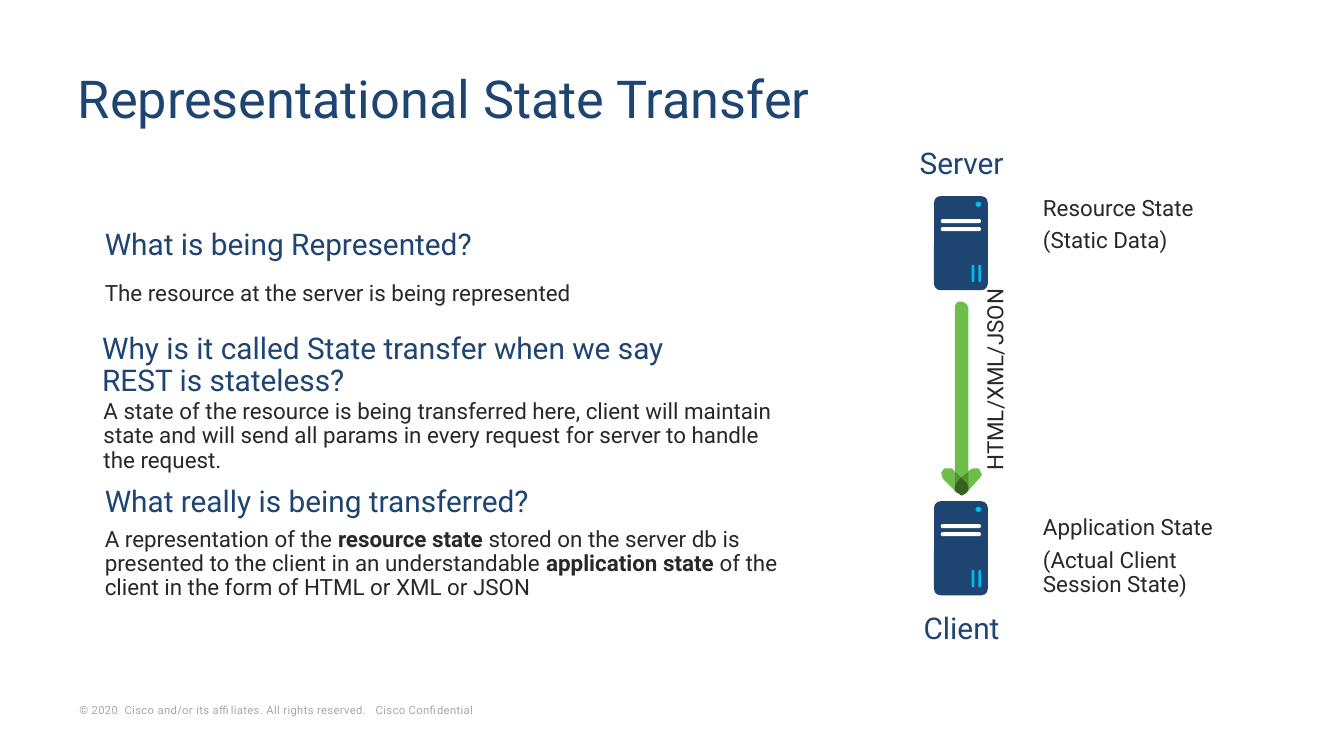
import pptx
import pptx.dml.color
import pptx.enum.shapes
import pptx.enum.text
import pptx.util

Inches = pptx.util.Inches
Pt = pptx.util.Pt
RGBColor = pptx.dml.color.RGBColor
Anchor = pptx.enum.text.MSO_ANCHOR
Align = pptx.enum.text.PP_ALIGN
Fit = pptx.enum.text.MSO_AUTO_SIZE
Shape = pptx.enum.shapes.MSO_SHAPE

COLORS = {
    "navy": "1E4471",
    "ink": "282828",
    "gray": "A6A6A6",
    "cyan": "00BCEB",
    "white": "FFFFFF",
    "green": "6EBE4A",
    "overlap": "519234",
    "tip": "366123",
}

deck = pptx.Presentation()
deck.slide_width = Inches(10)
deck.slide_height = Inches(10 * 9 / 16)
page = deck.slides.add_slide(deck.slide_layouts[5])


def write(text, place, box=None, size=12, color="ink", align=Align.LEFT,
          anchor=Anchor.MIDDLE, insets=(0.07, 0, 0.06, 0.04), spacing=0.9,
          fit=Fit.SHAPE_TO_FIT_TEXT, wrap=True):
    left, top, width, height = [Inches(length) for length in place]
    if box is None:
        box = page.shapes.add_textbox(left, top, width, height)
    box.left, box.top, box.width, box.height = left, top, width, height
    frame = box.text_frame
    frame.word_wrap = wrap
    frame.auto_size = fit
    frame.vertical_anchor = anchor
    (frame.margin_left, frame.margin_top, frame.margin_right,
     frame.margin_bottom) = [Inches(inset) for inset in insets]
    for row, line in enumerate(text.split("\n")):
        para = frame.add_paragraph() if row else frame.paragraphs[0]
        para.alignment = align
        para.line_spacing = spacing
        para.space_before = Pt(4.5 if row else 0)
        for part, words in enumerate(line.split("*")):
            span = para.add_run()
            span.text = words
            span.font.name = "Roboto"
            span.font.size = Pt(size)
            span.font.bold = part % 2 == 1
            span.font.color.rgb = RGBColor.from_string(COLORS[color])
    return box


def paint(shape, color, outlined=False):
    shape.shadow.inherit = False
    shape.fill.solid()
    shape.fill.fore_color.rgb = RGBColor.from_string(COLORS[color])
    if outlined:
        shape.line.color.rgb = RGBColor.from_string(COLORS[color])
        shape.line.width = Pt(0.75)
    else:
        shape.line.fill.background()


notice = write(
    "© 2020  Cisco and/or its affiliates. All rights reserved.   Cisco Confidential",
    (0.52, 5.19, 3.72, 0.17), size=6, color="gray", anchor=Anchor.BOTTOM,
    insets=(0.07, 0.03, 0.07, 0.03), spacing=1.0)
notice.text_frame.paragraphs[0].runs[0]._r.get_or_add_rPr().set("spc", "20")

write("Representational State Transfer", (0.48, 0.37, 9.13, 0.8),
      box=page.shapes.title, size=28, color="navy",
      insets=(0.1, 0.05, 0.1, 0.05), spacing=0.8, fit=Fit.NONE)

questions = [
    ("What is being Represented?", (0.71, 1.71, 3.82, 0.28)),
    ("Why is it called State transfer when we say REST is stateless?",
     (0.69, 2.48, 4.52, 0.52)),
    ("What really is being transferred?", (0.71, 3.62, 3.82, 0.28)),
]
for text, place in questions:
    write(text, place, size=16, color="navy")

answers = [
    ("The resource at the server is being represented",
     (0.71, 2.1, 3.97, 0.22)),
    ("A state of the resource is being transferred here, client will maintain "
     "state and will send all params in every request for server to handle "
     "the request.", (0.7, 2.98, 5.25, 0.58)),
    ("A representation of the *resource state *stored on the server db is "
     "presented to the client in an understandable *application state *of the "
     "client in the form of HTML or XML or JSON", (0.71, 3.93, 5.24, 0.58)),
    ("Resource State\n(Static Data)", (7.69, 1.46, 1.44, 0.47)),
    ("Application State\n(Actual Client Session State)",
     (7.69, 3.84, 1.44, 0.65)),
]
for text, place in answers:
    write(text, place)

machine_parts = [
    (Shape.ROUNDED_RECTANGLE, 0, 0, 0.4, 0.7, "navy", 0.12),
    (Shape.ROUNDED_RECTANGLE, 0.33, 0.51, 0.02, 0.13, "cyan", 0.5),
    (Shape.ROUNDED_RECTANGLE, 0.28, 0.51, 0.02, 0.13, "cyan", 0.5),
    (Shape.OVAL, 0.31, 0.04, 0.04, 0.04, "cyan", None),
    (Shape.ROUNDED_RECTANGLE, 0.05, 0.17, 0.3, 0.03, "white", 0.5),
    (Shape.ROUNDED_RECTANGLE, 0.05, 0.23, 0.3, 0.03, "white", 0.5),
]
for machine_top in (1.46, 3.73):
    for kind, left, top, width, height, color, corner in machine_parts:
        part = page.shapes.add_shape(
            kind, Inches(6.95 + left), Inches(machine_top + top),
            Inches(width), Inches(height))
        if corner is not None:
            part.adjustments[0] = corner
        paint(part, color)

arrow_parts = [
    ("green", [(711, 230), (711, 352), (715, 356), (720, 352), (720, 230),
               (720, 229), (719, 227), (718, 226), (716, 225), (715, 225),
               (713, 225), (712, 226), (711, 228)]),
    ("green", [(701, 353), (702, 356), (712, 366), (711, 363), (711, 352),
               (708, 349), (705, 349), (703, 349), (702, 350), (701, 352)]),
    ("overlap", [(711, 352), (711, 364), (712, 360), (715, 356)]),
    ("green", [(719, 366), (728, 356), (729, 355), (730, 353), (729, 351),
               (728, 349), (724, 349), (722, 350), (720, 352), (720, 363)]),
    ("overlap", [(715, 356), (719, 360), (720, 363), (720, 352)]),
    ("tip", [(712, 360), (711, 362), (711, 365), (712, 366), (714, 367),
             (715, 368), (716, 368), (718, 367), (719, 366), (720, 364),
             (720, 362), (719, 360), (715, 356)]),
]
for color, points in arrow_parts:
    outline = page.shapes.build_freeform(*points[0], scale=Inches(0.01))
    outline.add_line_segments(points[1:], close=True)
    paint(outline.convert_to_shape(), color, outlined=True)

for text, top in [("Server", 1.11), ("Client", 4.57)]:
    write(text, (6.7, top, 0.9, 0.28), size=16, color="navy",
          align=Align.CENTER)

formats = write("HTML/XML/JSON", (7.25, 2.15, 0.4, 1.45), anchor=Anchor.TOP,
                insets=(0.1, 0.05, 0.1, 0.05), spacing=1.0, wrap=False)
formats.text_frame._txBody.bodyPr.set("vert", "vert270")

deck.save("out.pptx")
